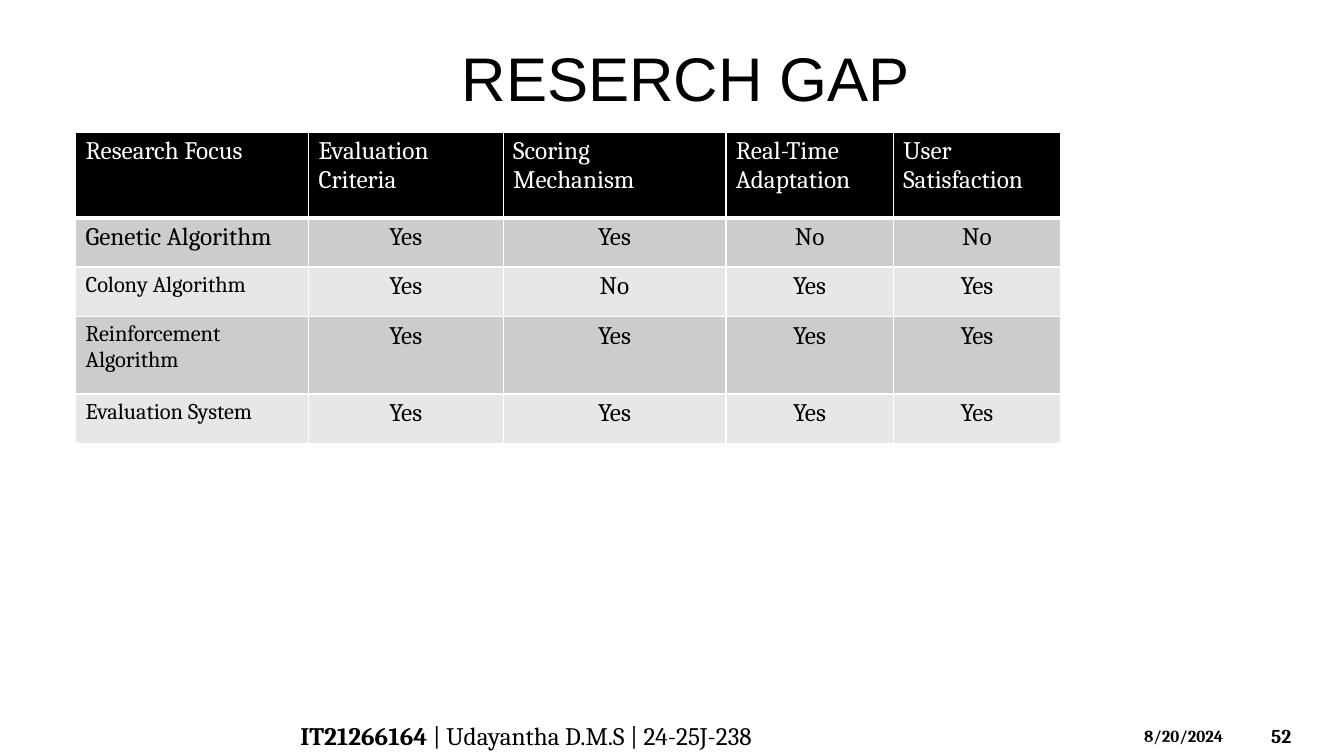
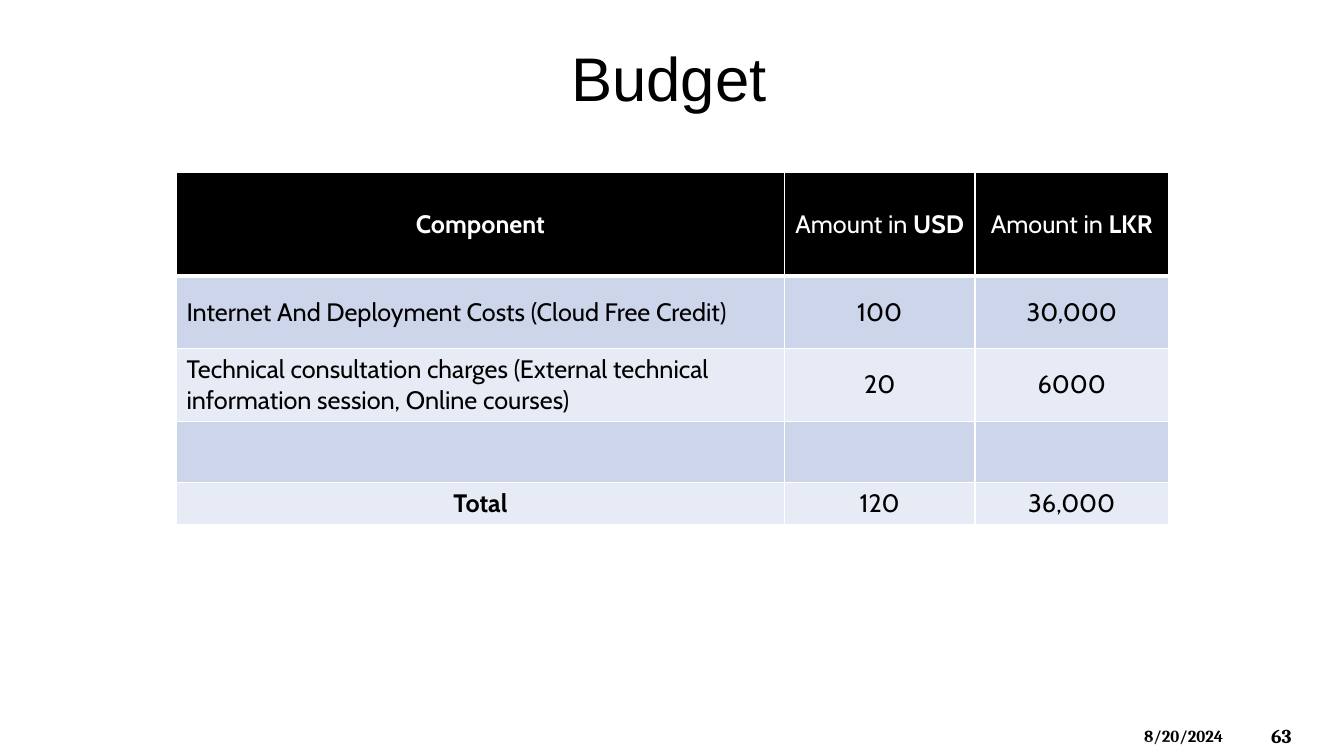
from lxml.etree import SubElement
from pptx import Presentation
from pptx.dml.color import RGBColor
from pptx.enum.shapes import MSO_SHAPE
from pptx.enum.text import MSO_ANCHOR, PP_ALIGN
from pptx.oxml.ns import qn
from pptx.util import Pt

PX = 9144  # 100 px to the inch
SLIDE_WIDTH, SLIDE_HEIGHT = 1333, 750

COLORS = {
    "ink": "000000",
    "paper": "FFFFFF",
    "grey_dark": "CCCCCC",
    "grey_light": "E7E7E7",
    "blue_dark": "CCD5EA",
    "blue_light": "E7EBF5",
}

FORMATS = {
    "title": {"name": "Arial", "size": Pt(44)},
    "author": {"name": "Cambria", "size": Pt(18)},
    "date": {"name": "Cambria", "size": Pt(12)},
    "number": {"name": "Cambria", "size": Pt(14)},
    "research": {"name": "Cambria", "size": Pt(18)},
    "research_small": {"name": "Cambria", "size": Pt(16)},
    "budget": {"name": "Cabin", "size": Pt(18)},
}

RESEARCH_ROWS = [
    ["Research Focus", "Evaluation Criteria", "Scoring Mechanism",
     "Real-Time Adaptation", "User Satisfaction"],
    ["Genetic Algorithm", "Yes", "Yes", "No", "No"],
    ["Colony Algorithm", "Yes", "No", "Yes", "Yes"],
    ["Reinforcement Algorithm", "Yes", "Yes", "Yes", "Yes"],
    ["Evaluation System", "Yes", "Yes", "Yes", "Yes"],
]

BUDGET_ROWS = [
    ["**Component**", "Amount in **USD**", "Amount in **LKR**"],
    ["Internet And Deployment Costs (Cloud Free Credit)", "100", "30,000"],
    ["Technical consultation charges (External technical information "
     "session, Online courses)", "20", "6000"],
    ["", "", ""],
    ["**Total**", "120", "36,000"],
]


def px(*lengths):
    return [length * PX for length in lengths]


def rgb(color):
    return RGBColor.from_string(COLORS[color])


def write(frame, text, style, color="ink", align=PP_ALIGN.LEFT):
    """Fill a text frame; words between double asterisks are bold."""
    paragraph = frame.paragraphs[0]
    paragraph.alignment = align
    for index, part in enumerate(text.split("**")):
        if not part:
            continue
        run = paragraph.add_run()
        run.text = part
        for attribute, value in FORMATS[style].items():
            setattr(run.font, attribute, value)
        run.font.bold = index % 2 == 1
        run.font.color.rgb = rgb(color)


def add_text(slide, box, text, style, anchor=MSO_ANCHOR.MIDDLE,
             align=PP_ALIGN.LEFT):
    frame = slide.shapes.add_textbox(*px(*box)).text_frame
    frame.word_wrap = True
    frame.vertical_anchor = anchor
    write(frame, text, style, align=align)


def add_band(slide, top, height, apex):
    """Translucent wide triangle along the foot of the slide."""
    band = slide.shapes.add_shape(
        MSO_SHAPE.ISOSCELES_TRIANGLE, *px(0, top, SLIDE_WIDTH, height))
    band.adjustments[0] = apex
    band.shadow.inherit = False
    band.line.fill.background()
    band.fill.solid()
    band.fill.fore_color.rgb = rgb("paper")
    tint = band.fill._xPr.find(qn("a:solidFill"))[0]
    SubElement(tint, qn("a:alpha"), val="20000")


def add_borders(cell, widths):
    properties = cell._tc.get_or_add_tcPr()
    for side, width in widths.items():
        line = SubElement(properties, qn(f"a:ln{side}"), w=str(Pt(width)))
        fill = SubElement(line, qn("a:solidFill"))
        SubElement(fill, qn("a:srgbClr"), val=COLORS["paper"])


def add_grid(slide, origin, widths, heights, rows, bands, anchor, cell_style):
    """Table with a black header; cell_style(row, column) gives (style, align)."""
    table = slide.shapes.add_table(
        len(rows), len(widths), *px(*origin, sum(widths), sum(heights))).table
    table.first_row = table.horz_banding = False
    for column, width in zip(table.columns, widths):
        column.width = width * PX
    for row, height in zip(table.rows, heights):
        row.height = height * PX

    for r, texts in enumerate(rows):
        for c, text in enumerate(texts):
            cell = table.cell(r, c)
            add_borders(cell, {"L": 1, "R": 1, "T": 3 if r == 1 else 1,
                               "B": 3 if r == 0 else 1})
            cell.fill.solid()
            cell.fill.fore_color.rgb = rgb(bands[(r - 1) % 2] if r else "ink")
            cell.vertical_anchor = anchor
            style, align = cell_style(r, c)
            write(cell.text_frame, text, style, "ink" if r else "paper", align)


def research_style(row, column):
    style = "research_small" if row > 1 and column == 0 else "research"
    left = row == 0 or column == 0
    return style, PP_ALIGN.LEFT if left else PP_ALIGN.CENTER


def budget_style(row, column):
    left = column == 0 and 0 < row < len(BUDGET_ROWS) - 1
    return "budget", PP_ALIGN.LEFT if left else PP_ALIGN.CENTER


def add_slide(deck, title, number):
    """Blank slide with the shared footer and title."""
    slide = deck.slides.add_slide(deck.slide_layouts[6])
    slide.background.fill.solid()
    slide.background.fill.fore_color.rgb = rgb("paper")
    add_text(slide, (1251, 710, 74, 40), f"**{number}**", "number")
    add_text(slide, (1125, 715, 117, 30), "**8/20/2024**", "date",
             anchor=MSO_ANCHOR.TOP)
    add_band(slide, 709, 41, 0.63)
    add_band(slide, 730, 20, 0.39)
    add_text(slide, (33, 33, 1278, 87), title, "title", align=PP_ALIGN.CENTER)
    return slide


def main():
    deck = Presentation()
    deck.slide_width, deck.slide_height = px(SLIDE_WIDTH, SLIDE_HEIGHT)

    # Research gap
    research = add_slide(deck, " RESERCH GAP", 52)
    add_text(research, (288, 710, 745, 40),
             "**IT21266164 **| Udayantha D.M.S | 24-25J-238", "author")
    add_grid(research, (75, 131), [231, 193, 221, 166, 166],
             [85, 49, 49, 77, 49], RESEARCH_ROWS,
             ("grey_dark", "grey_light"), MSO_ANCHOR.TOP, research_style)

    # Budget
    budget = add_slide(deck, "Budget ", 63)
    add_grid(budget, (175, 171), [603, 189, 192], [103, 72, 72, 61, 42],
             BUDGET_ROWS, ("blue_dark", "blue_light"), MSO_ANCHOR.MIDDLE,
             budget_style)

    deck.save("out.pptx")


if __name__ == "__main__":
    main()
